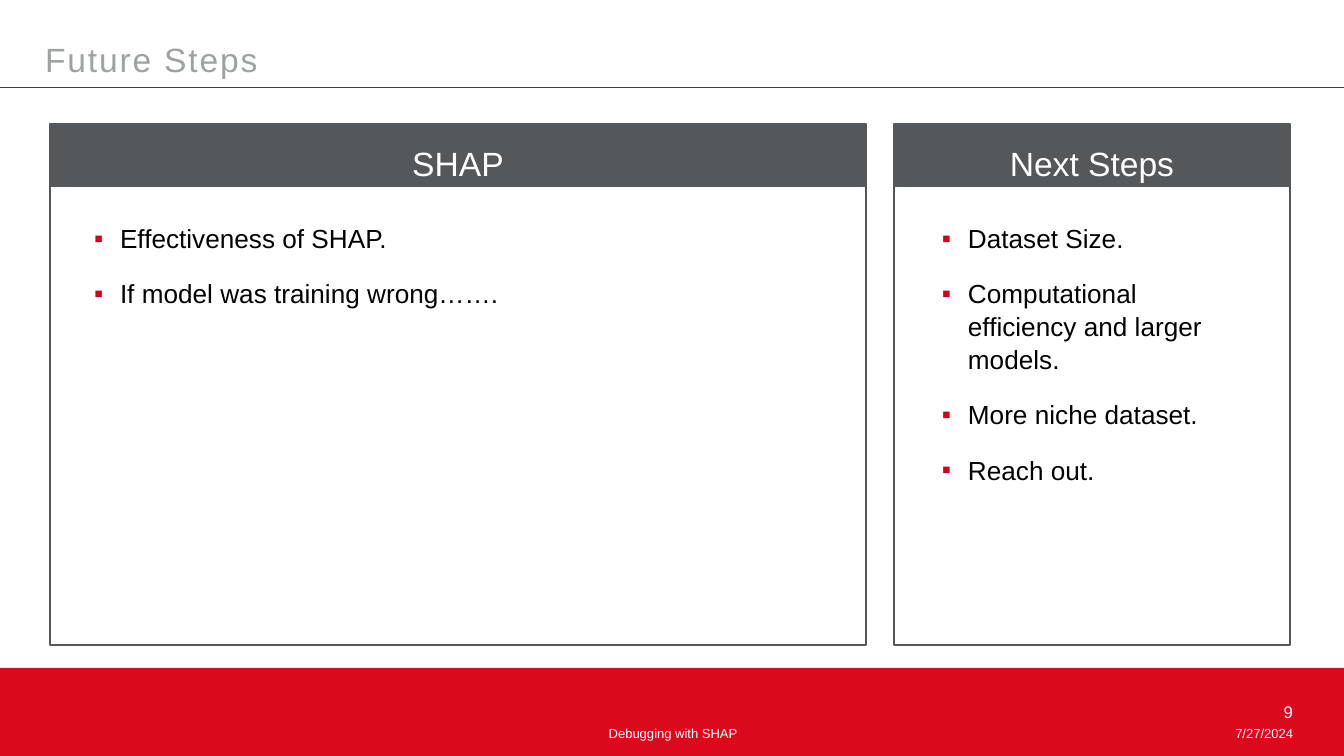
import pptx
import pptx.util
import pptx.dml.color
import pptx.enum.shapes
import pptx.enum.text
import pptx.oxml.ns
from lxml import etree

RGB = pptx.dml.color.RGBColor
RED = RGB(0xDB, 0x09, 0x1C)
MARK = RGB(0xD6, 0x00, 0x1C)
SLATE = RGB(0x54, 0x58, 0x5A)
GREY = RGB(0x9E, 0xA2, 0xA2)
RULE = RGB(0x40, 0x40, 0x40)
WHITE = RGB(0xFF, 0xFF, 0xFF)
BLACK = RGB(0x00, 0x00, 0x00)
ALIGN = pptx.enum.text.PP_ALIGN
SCALE = 914400 / 134.4


def px(n):
    return pptx.util.Emu(round(n * SCALE))


def add_tag(parent, name, **attrs):
    return etree.SubElement(parent, pptx.oxml.ns.qn(name), attrs)


def write(para, text, size=14, color=BLACK, align=ALIGN.LEFT, gap=0,
          lead=1.05, track=0, bullet=None):
    if bullet:
        props = para._p.get_or_add_pPr()
        props.set("marL", str(px(26)))
        props.set("indent", str(-px(26)))
        tint = add_tag(props, "a:buClr")
        add_tag(tint, "a:srgbClr", val=str(MARK))
        add_tag(props, "a:buFont", typeface="Arial")
        add_tag(props, "a:buChar", char=bullet)
    para.alignment = align
    para.line_spacing = lead
    para.space_before = pptx.util.Pt(gap)
    run = para.add_run()
    run.text = text
    run.font.name = "Arial"
    run.font.size = pptx.util.Pt(size)
    run.font.color.rgb = color
    if track:
        run._r.get_or_add_rPr().set("spc", str(track * 100))


class Deck:
    def __init__(self, wide, high):
        self.prs = pptx.Presentation()
        self.prs.slide_width = px(wide)
        self.prs.slide_height = px(high)
        self.slide = self.prs.slides.add_slide(self.prs.slide_layouts[6])

    def rect(self, x, y, w, h, fill=None, line=None):
        kind = pptx.enum.shapes.MSO_SHAPE.RECTANGLE
        box = self.slide.shapes.add_shape(kind, px(x), px(y), px(w), px(h))
        box.shadow.inherit = False
        if fill is None:
            box.fill.background()
        else:
            box.fill.solid()
            box.fill.fore_color.rgb = fill
        if line is None:
            box.line.fill.background()
        else:
            box.line.color.rgb = line
            box.line.width = pptx.util.Pt(0.75)

    def rule(self, x1, y1, x2, y2, color):
        kind = pptx.enum.shapes.MSO_CONNECTOR.STRAIGHT
        line = self.slide.shapes.add_connector(
            kind, px(x1), px(y1), px(x2), px(y2))
        line.line.color.rgb = color
        line.line.width = pptx.util.Pt(0.5)
        add_tag(line._element.spPr, "a:effectLst")

    def text(self, x, y, w, h, *items, inset=13, gap=0, **style):
        box = self.slide.shapes.add_textbox(px(x), px(y), px(w), px(h))
        frame = box.text_frame
        frame.word_wrap = True
        frame.margin_left = frame.margin_right = px(inset)
        frame.margin_top, frame.margin_bottom = px(7), 0
        for i, item in enumerate(items):
            para = frame.add_paragraph() if i else frame.paragraphs[0]
            write(para, item, gap=gap if i else 0, **style)


def main():
    deck = Deck(1344, 756)

    # Footer band
    deck.rect(0, 668, 1344, 90, fill=RED)
    deck.text(993, 718, 313, 13, "7/27/2024",
              size=7, color=WHITE, align=ALIGN.RIGHT)
    deck.text(460, 718, 426, 79, "Debugging with SHAP",
              size=7, color=WHITE, align=ALIGN.CENTER)
    deck.text(993, 694, 313, 13, "9",
              size=9, color=WHITE, align=ALIGN.RIGHT)

    # Title
    deck.rule(0, 87, 1344, 87, RULE)
    deck.text(34, 30, 1223, 56, "Future Steps",
              inset=11, size=18, color=GREY, track=1)

    # Panels: left, width, heading, list left, list width, list height, items
    panels = [
        (50, 816, "SHAP", 81, 500, 153,
         ["Effectiveness of SHAP.", "If model was training wrong……."]),
        (894, 396, "Next Steps", 929, 323, 325,
         ["Dataset Size.", "Computational efficiency and larger models.",
          "More niche dataset.", "Reach out."]),
    ]
    for left, wide, head, start, span, tall, items in panels:
        deck.rect(left, 124, wide, 521, line=SLATE)
        deck.rect(left, 124, wide, 63, fill=SLATE)
        deck.text(left, 134, wide, 54, head,
                  size=18, color=WHITE, align=ALIGN.CENTER)
        deck.text(start, 214, span, tall, *items, gap=12, bullet="▪")

    deck.prs.save("out.pptx")


if __name__ == "__main__":
    main()
